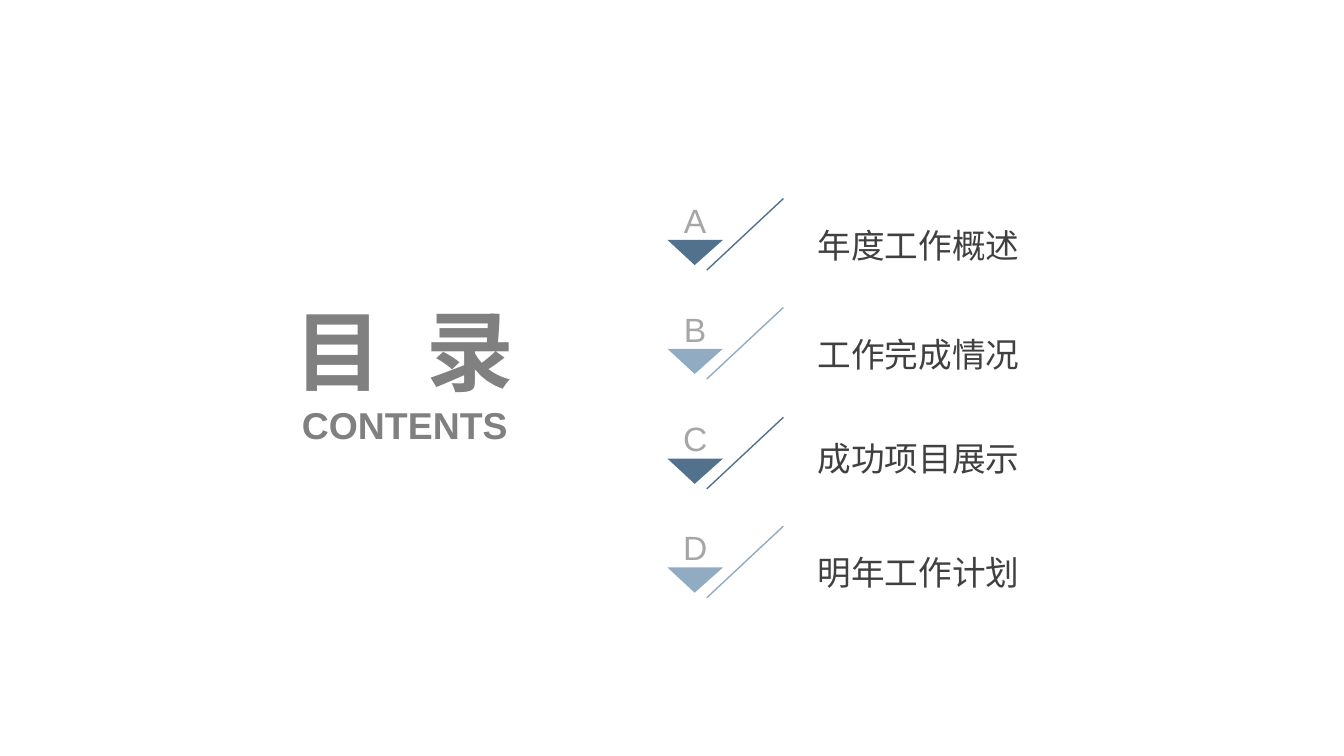
import pptx
import pptx.util
import pptx.dml.color
import pptx.enum.shapes
import pptx.enum.text
import pptx.oxml.ns
import lxml.etree

PX = 9144  # 100 px to the inch
ALIGN = pptx.enum.text.PP_ALIGN
ANCHOR = pptx.enum.text.MSO_ANCHOR
CJK_FONT = "Noto Sans CJK SC"


def color(hex_text):
    return pptx.dml.color.RGBColor.from_string(hex_text)


def write(box, place, pieces, anchor, align, size, hue, bold=False, font="Arial", spacing=1.0):
    """Place a text box and fill its paragraph with (text, tracking) pieces."""
    for name, length in zip(("left", "top", "width", "height"), place):
        setattr(box, name, length * PX)
    frame = box.text_frame
    frame_format = {"margin_left": 0, "margin_top": 0, "margin_right": 0, "margin_bottom": 0,
                    "word_wrap": True, "vertical_anchor": anchor,
                    "auto_size": pptx.enum.text.MSO_AUTO_SIZE.NONE}
    for name, value in frame_format.items():
        setattr(frame, name, value)
    para = frame.paragraphs[0]
    para.alignment = align
    para.line_spacing = spacing
    for text, tracking in pieces:
        span = para.add_run()
        span.text = text
        for name, value in {"size": pptx.util.Pt(size), "bold": bold, "name": font}.items():
            setattr(span.font, name, value)
        span.font.color.rgb = color(hue)
        properties = span.font._element
        east_asian = lxml.etree.SubElement(properties, pptx.oxml.ns.qn("a:ea"))
        east_asian.set("typeface", CJK_FONT)
        if tracking:
            properties.set("spc", str(tracking))


deck = pptx.Presentation()
deck.slide_width = 1333 * PX
deck.slide_height = 750 * PX
page = deck.slides.add_slide(deck.slide_layouts[5])
shapes = page.shapes

# Heading: the tracked space sets the two characters apart
write(shapes.title, (252, 294, 298, 105), [("目", 0), (" ", 1740), ("录", 0)],
      ANCHOR.MIDDLE, ALIGN.CENTER, 62.6, "808080", bold=True)
write(shapes.add_textbox(0, 0, 0, 0), (254, 399, 295, 45), [("CONTENTS", 0)],
      ANCHOR.TOP, ALIGN.CENTER, 26.7, "808080", bold=True)

# Agenda rows: letter, text, latin font, line spacing, label height
rows = [
    ("A", "年度工作概述", CJK_FONT, 1.3, 52),
    ("B", "工作完成情况", CJK_FONT, 1.3, 52),
    ("C", "成功项目展示", "Arial", 1.0, 40),
    ("D", "明年工作计划", CJK_FONT, 1.3, 52),
]
accents = ["51718D", "91ACC2"]
for index, (letter, label, font, spacing, height) in enumerate(rows):
    top = 197 + round(index * 325 / 3)
    accent = color(accents[index % 2])

    # Label, centred on the row
    write(shapes.add_textbox(0, 0, 0, 0), (811, top + 40 - height // 2, 318, height),
          [(label, 0)], ANCHOR.MIDDLE, ALIGN.LEFT, 24, "404040", font=font, spacing=spacing)

    # Slanted line
    slant = shapes.add_connector(pptx.enum.shapes.MSO_CONNECTOR.STRAIGHT,
                                 777 * PX, top * PX, 701 * PX, (top + 71) * PX)
    slant.line.color.rgb = accent
    slant.line.width = pptx.util.Pt(1)
    lxml.etree.SubElement(slant._element.spPr, pptx.oxml.ns.qn("a:effectLst"))

    # Downward triangle
    outline = shapes.build_freeform(662, top + 41, scale=PX)
    outline.add_line_segments([(717, top + 41), (689, top + 66)], close=True)
    triangle = outline.convert_to_shape()
    triangle.shadow.inherit = False
    triangle.fill.solid()
    triangle.fill.fore_color.rgb = accent
    triangle.line.fill.background()

    # Letter
    write(shapes.add_textbox(0, 0, 0, 0), (660, top + 1, 59, 40), [(letter, 0)],
          ANCHOR.BOTTOM, ALIGN.CENTER, 24, "A6A6A6")

deck.save("out.pptx")
